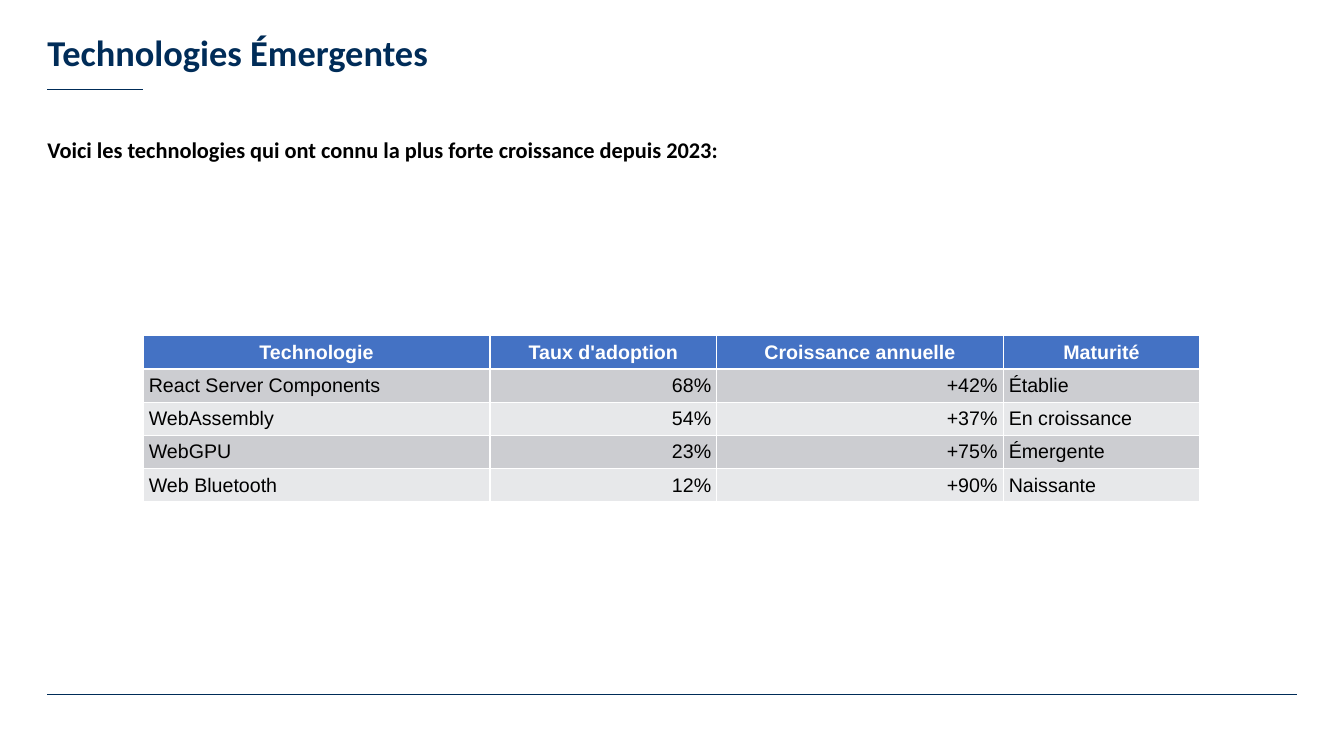
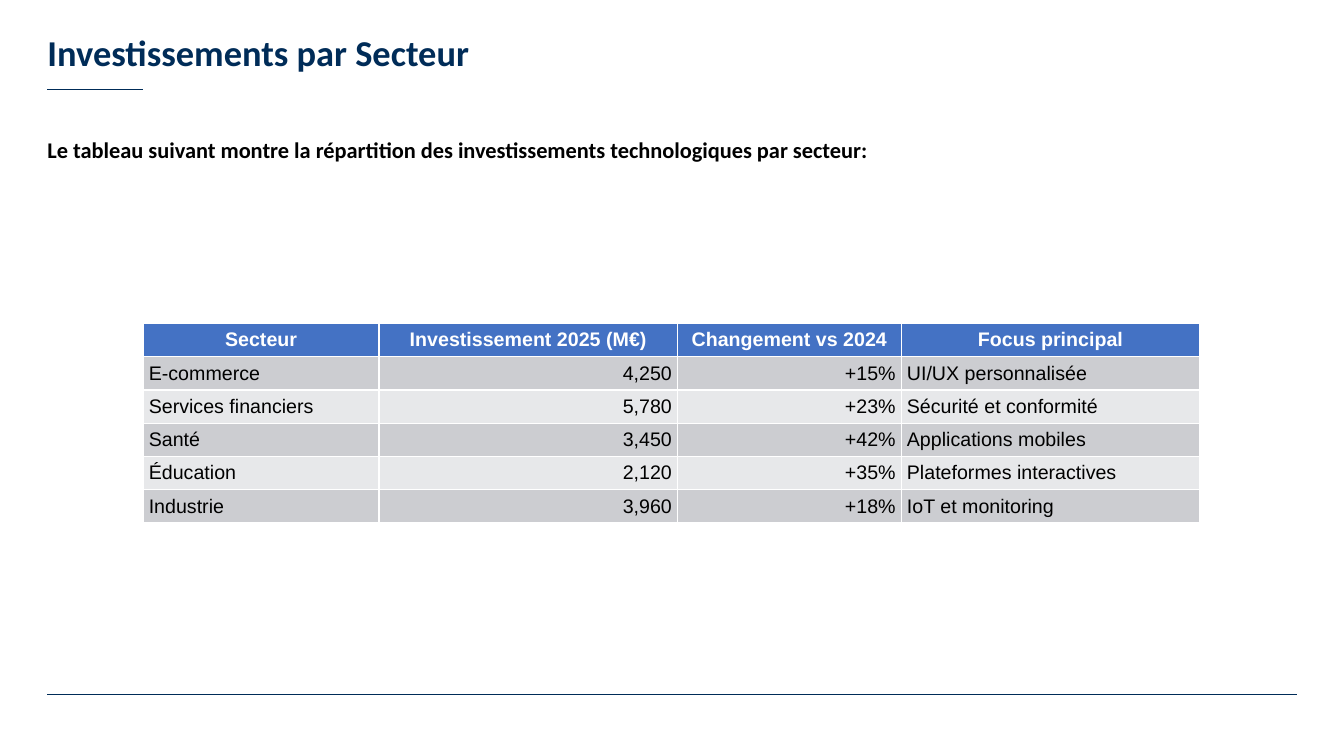
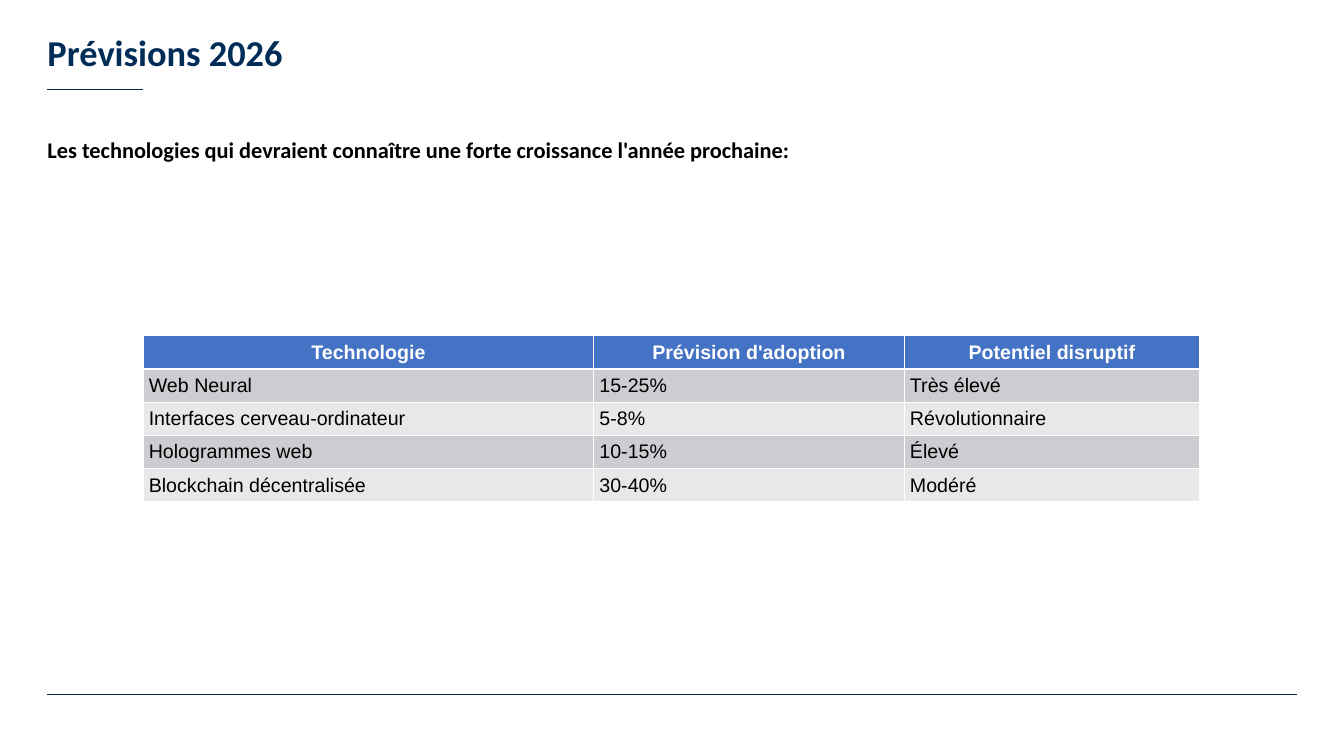
"""Build three slides of technology tables that share one layout."""
from lxml.etree import SubElement
from pptx import Presentation
from pptx.dml.color import RGBColor
from pptx.enum.shapes import MSO_CONNECTOR
from pptx.enum.text import MSO_ANCHOR as Anchor, MSO_AUTO_SIZE, PP_ALIGN as Align
from pptx.oxml.ns import qn
from pptx.util import Emu, Pt

PX = 9144
NAVY, BLACK, WHITE = "002C58", "000000", "FFFFFF"
HEADER_FILL, BAND_FILLS = "4472C4", ("CCCDD1", "E7E8EA")
LEFT, WIDTH = 47, 1239
TABLE_LEFT, ROW_HEIGHT, CELL_INSET = 142, 33, Pt(4)
RULES = [(689, WIDTH), (89, 95)]
FRAMES = [((LEFT, 0, WIDTH, 73), Anchor.BOTTOM), ((LEFT, 135, WIDTH, 94), Anchor.TOP)]
ALIGNMENTS = {"l": Align.LEFT, "r": Align.RIGHT}

SLIDES = [
    {
        "title": "Technologies Émergentes",
        "intro": "Voici les technologies qui ont connu la plus forte croissance depuis 2023:",
        "top": 333,
        "widths": (344, 225, 284, 195),
        "aligns": "lrrl",
        "rows": [
            ("Technologie", "Taux d'adoption", "Croissance annuelle", "Maturité"),
            ("React Server Components", "68%", "+42%", "Établie"),
            ("WebAssembly", "54%", "+37%", "En croissance"),
            ("WebGPU", "23%", "+75%", "Émergente"),
            ("Web Bluetooth", "12%", "+90%", "Naissante"),
        ],
    },
    {
        "title": "Investissements par Secteur",
        "intro": "Le tableau suivant montre la répartition des investissements "
                 "technologiques par secteur:",
        "top": 321,
        "widths": (234, 296, 222, 296),
        "aligns": "lrrl",
        "rows": [
            ("Secteur", "Investissement 2025 (M€)", "Changement vs 2024", "Focus principal"),
            ("E-commerce", "4,250", "+15%", "UI/UX personnalisée"),
            ("Services financiers", "5,780", "+23%", "Sécurité et conformité"),
            ("Santé", "3,450", "+42%", "Applications mobiles"),
            ("Éducation", "2,120", "+35%", "Plateformes interactives"),
            ("Industrie", "3,960", "+18%", "IoT et monitoring"),
        ],
    },
    {
        "title": "Prévisions 2026",
        "intro": "Les technologies qui devraient connaître une forte croissance "
                 "l'année prochaine:",
        "top": 333,
        "widths": (447, 308, 293),
        "aligns": "lll",
        "rows": [
            ("Technologie", "Prévision d'adoption", "Potentiel disruptif"),
            ("Web Neural", "15-25%", "Très élevé"),
            ("Interfaces cerveau-ordinateur", "5-8%", "Révolutionnaire"),
            ("Hologrammes web", "10-15%", "Élevé"),
            ("Blockchain décentralisée", "30-40%", "Modéré"),
        ],
    },
]


def px(value):
    return Emu(value * PX)


def color(value):
    return RGBColor.from_string(value)


def set_insets(target, inset):
    target.margin_left = target.margin_right = inset
    target.margin_top = target.margin_bottom = inset


def write(frame, text, size=14, font="Arial", fill=BLACK, bold=False, align=Align.LEFT):
    paragraph = frame.paragraphs[0]
    paragraph.alignment = align
    paragraph.space_before = Pt(0)
    run = paragraph.add_run()
    run.text = text
    run.font.size = Pt(size)
    run.font.name = font
    run.font.bold = bold
    run.font.color.rgb = color(fill)
    return paragraph


def format_layout(layout):
    for placeholder, (box, anchor) in zip(layout.placeholders, FRAMES):
        placeholder.left, placeholder.top, placeholder.width, placeholder.height = map(px, box)
        frame = placeholder.text_frame
        set_insets(frame, 0)
        frame.vertical_anchor = anchor
        frame.word_wrap = True
        frame.auto_size = MSO_AUTO_SIZE.NONE


def add_layout_rules(layout, slide):
    for number, (y, width) in enumerate(RULES):
        rule = slide.shapes.add_connector(
            MSO_CONNECTOR.STRAIGHT, px(LEFT), px(y), px(LEFT + width), px(y))
        rule.line.color.rgb = color(NAVY)
        rule.line.width = Pt(0.75)
        SubElement(rule.element.spPr, qn("a:effectLst"))
        rule.element.nvCxnSpPr.cNvPr.id = 20 + number
        layout.shapes.element.append(rule.element)


def add_data_table(slide, content):
    rows, widths = content["rows"], content["widths"]
    table = slide.shapes.add_table(
        len(rows), len(widths), px(TABLE_LEFT), px(content["top"]),
        px(sum(widths)), px(ROW_HEIGHT * len(rows))).table
    for column, width in zip(table.columns, widths):
        column.width = px(width)
    for row_index, row in enumerate(rows):
        table.rows[row_index].height = px(ROW_HEIGHT)
        header = row_index == 0
        for column_index, text in enumerate(row):
            cell = table.cell(row_index, column_index)
            set_insets(cell, CELL_INSET)
            cell.fill.solid()
            cell.fill.fore_color.rgb = color(
                HEADER_FILL if header else BAND_FILLS[(row_index - 1) % 2])
            write(cell.text_frame, text, bold=header, fill=WHITE if header else BLACK,
                  align=Align.CENTER if header else ALIGNMENTS[content["aligns"][column_index]])


def add_content_slide(presentation, layout, content):
    slide = presentation.slides.add_slide(layout)
    title, body = slide.placeholders
    write(title.text_frame, content["title"], size=26, font="Calibri", fill=NAVY, bold=True)
    intro = write(body.text_frame, content["intro"], size=16, font="Calibri", bold=True)
    properties = intro._p.get_or_add_pPr()
    properties.set("marL", "0")
    properties.set("indent", "0")
    SubElement(properties, qn("a:buNone"))
    add_data_table(slide, content)
    return slide


def main():
    presentation = Presentation()
    presentation.slide_width, presentation.slide_height = px(1333), px(750)
    layout = presentation.slide_layouts[1]
    format_layout(layout)
    slides = [add_content_slide(presentation, layout, content) for content in SLIDES]
    add_layout_rules(layout, slides[0])
    presentation.save("out.pptx")


if __name__ == "__main__":
    main()
